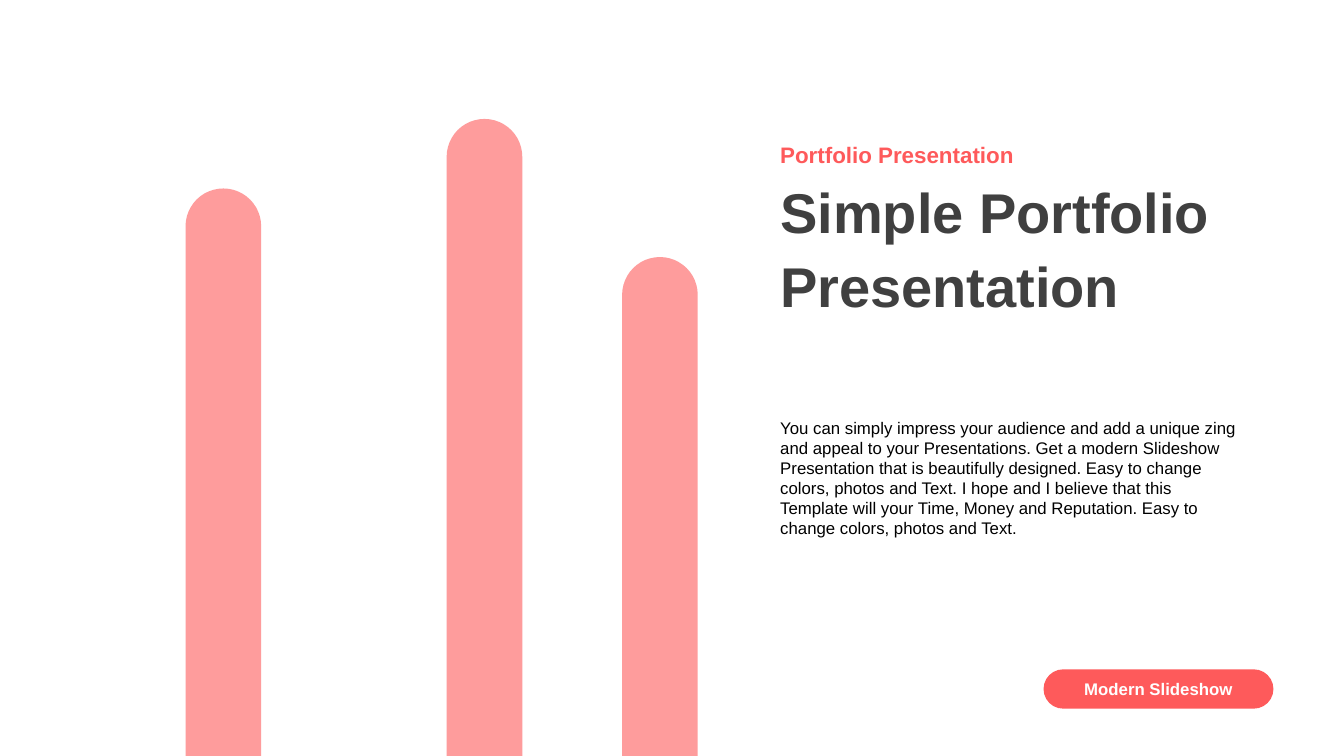
"""Build the portfolio cover slide with three rounded bars and a tag."""
from pptx import Presentation
from pptx.dml.color import RGBColor
from pptx.enum.shapes import MSO_SHAPE as SHAPE
from pptx.enum.text import MSO_ANCHOR as ANCHOR, PP_ALIGN as ALIGN
from pptx.oxml.xmlchemy import OxmlElement
from pptx.util import Pt

PX = 9144
THEME = {
    "font": "Arial",
    "coral": RGBColor(0xFE, 0x5A, 0x5B),
    "dark": RGBColor(0x40, 0x40, 0x40),
    "black": RGBColor(0, 0, 0),
    "white": RGBColor(255, 255, 255),
    "title": 40,
    "kicker": 16,
    "body": 12,
}


def add_bar(s, kind, x, y, w, h):
    sp = s.shapes.add_shape(kind, x * PX, y * PX, w * PX, h * PX)
    sp.shadow.inherit = False
    sp.adjustments[0] = 0.5
    sp.fill.solid()
    sp.fill.fore_color.rgb = THEME["coral"]
    sp.line.fill.background()
    return sp


def write(sp, text, size, color, bold=True, anchor=ANCHOR.MIDDLE):
    tf = sp.text_frame
    tf.word_wrap = True
    tf.vertical_anchor = anchor
    p = tf.paragraphs[0]
    r = p.add_run()
    r.text = text
    r.font.name = THEME["font"]
    r.font.size = Pt(THEME[size])
    r.font.bold = bold
    r.font.color.rgb = THEME[color]
    return p


prs = Presentation()
prs.slide_width, prs.slide_height = 1333 * PX, 750 * PX
s = prs.slides.add_slide(prs.slide_layouts[6])

TEXT_X = 764
kicker = s.shapes.add_textbox(TEXT_X * PX, 132 * PX, 339 * PX, 43 * PX)
write(kicker, "Portfolio Presentation", "kicker", "coral")

title = s.shapes.add_textbox(TEXT_X * PX, 177 * PX, 475 * PX, 132 * PX)
p = write(title, "Simple Portfolio Presentation", "title", "dark")
p.line_spacing = 1.1

body = s.shapes.add_textbox(TEXT_X * PX, 409 * PX, 475 * PX, 131 * PX)
write(
    body,
    "You can simply impress your audience and add a unique zing and appeal to "
    "your Presentations. Get a modern Slideshow Presentation that is "
    "beautifully designed. Easy to change colors, photos and Text. I hope and "
    "I believe that this Template will your Time, Money and Reputation. Easy "
    "to change colors, photos and Text.",
    "body", "black", bold=False, anchor=ANCHOR.TOP,
)

tag = add_bar(s, SHAPE.ROUNDED_RECTANGLE, 1035, 664, 228, 39)
p = write(tag, "Modern Slideshow", "body", "white")
p.alignment = ALIGN.CENTER

for x, y in ((184, 187), (443, 118), (617, 255)):
    bar = add_bar(s, SHAPE.ROUND_2_SAME_RECTANGLE, x, y, 75, 750 - y)
    alpha = OxmlElement("a:alpha")
    alpha.set("val", "60000")
    bar.fill._xPr.solidFill.srgbClr.append(alpha)

prs.save("out.pptx")
